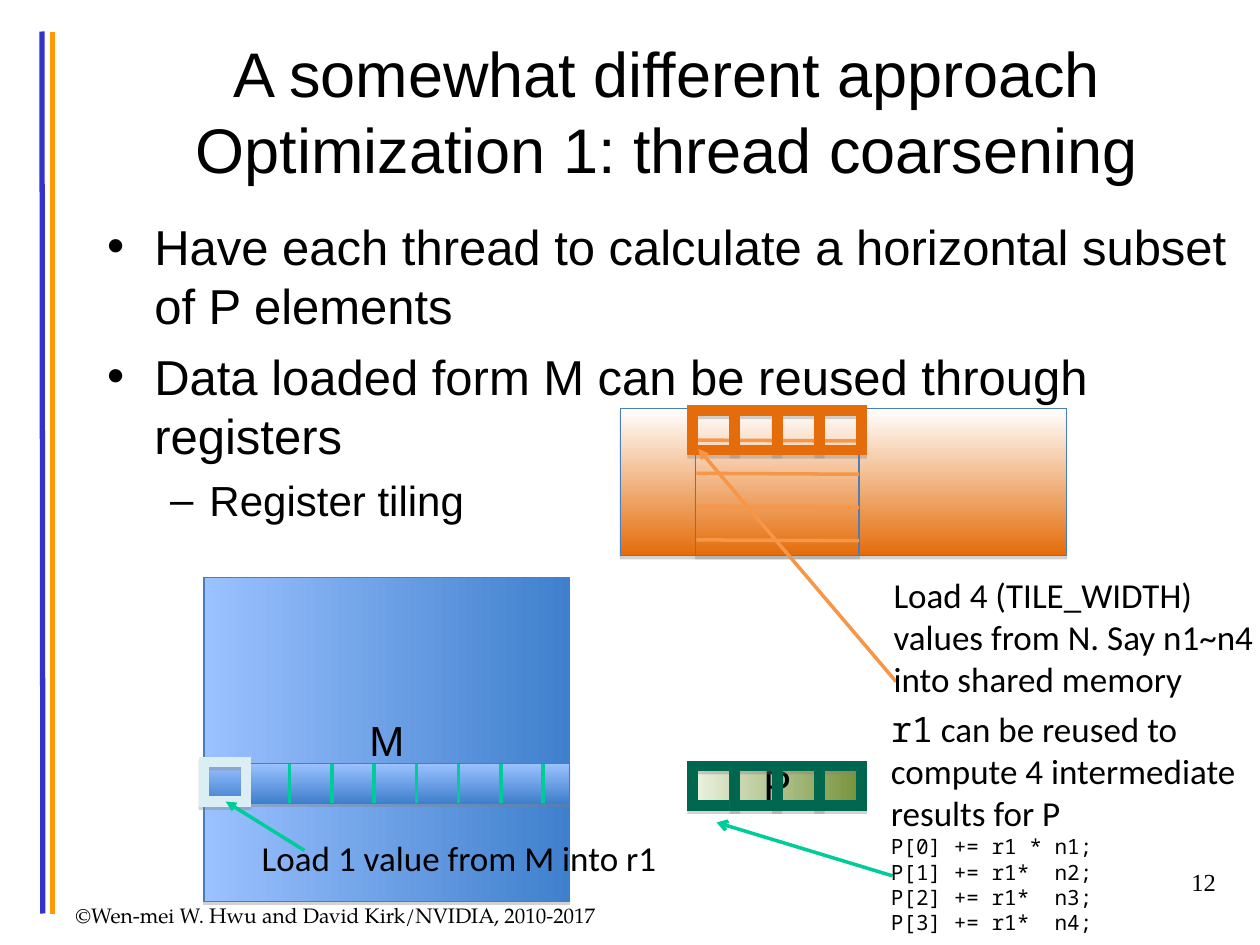
import dataclasses

import lxml.etree
import pptx
import pptx.dml.color
import pptx.enum.shapes
import pptx.enum.text
import pptx.oxml
import pptx.oxml.ns
import pptx.util

Pt = pptx.util.Pt
Color = pptx.dml.color.RGBColor.from_string
qn = pptx.oxml.ns.qn
Align = pptx.enum.text.PP_ALIGN
Anchor = pptx.enum.text.MSO_ANCHOR


@dataclasses.dataclass(frozen=True)
class Theme:
    ink: str = "000000"
    rail_blue: str = "3333CC"
    rail_orange: str = "FF9900"
    outline: str = "4A7EBB"
    blue: tuple = ("9BC1FF", "3F80CD")
    orange: tuple = ("FFFFFF", "E46C0A")
    green: tuple = ("EBF1DE", "77933C")
    n_line: str = "F79646"
    n_frame: str = "E46C0A"
    m_line: str = "00CC99"
    m_frame: str = "DBEEF4"
    p_frame: str = "00664D"
    sans: str = "Arial"
    note_font: str = "Calibri"
    mono: str = "Noto Sans Mono"
    copyright_font: str = "TeX Gyre Pagella"
    number_font: str = "Times New Roman"
    title: int = 36
    body: int = 28
    label: int = 24
    note: int = 20
    number: int = 14
    small: int = 12


theme = Theme()
A_NS = 'xmlns:a="http://schemas.openxmlformats.org/drawingml/2006/main"'
SHADOW = (f'<a:effectLst {A_NS}><a:outerShdw blurRad="0" dist="22860" dir="5400000" '
          'rotWithShape="0"><a:srgbClr val="808080"><a:alpha val="35000"/></a:srgbClr>'
          '</a:outerShdw></a:effectLst>')

deck = pptx.Presentation()
deck.slide_width, deck.slide_height = Pt(720), Pt(540)
page = deck.slides.add_slide(deck.slide_layouts[1])


def add_block(bounds, line_color, line_width=0.75, gradient=None, angle=0):
    """Rectangle with a soft drop shadow; without a gradient it is a hollow frame."""
    block = page.shapes.add_shape(pptx.enum.shapes.MSO_SHAPE.RECTANGLE, *map(Pt, bounds))
    if gradient:
        block.fill.gradient()
        block.fill.gradient_angle = angle
        for stop, color in zip(block.fill.gradient_stops, gradient):
            stop.color.rgb = Color(color)
    else:
        block.fill.background()
    block.line.color.rgb = Color(line_color)
    block.line.width = Pt(line_width)
    outline = block.line._get_or_add_ln()
    lxml.etree.SubElement(outline, qn("a:miter"), lim="800000")
    block._element.spPr.append(pptx.oxml.parse_xml(SHADOW))
    return block


def add_line(start, end, color, width=2, head=None):
    line = page.shapes.add_connector(
        pptx.enum.shapes.MSO_CONNECTOR.STRAIGHT, *map(Pt, (*start, *end)))
    line.line.color.rgb = Color(color)
    line.line.width = Pt(width)
    if head:
        lxml.etree.SubElement(line.line._get_or_add_ln(), qn("a:tailEnd"), type=head)
    lxml.etree.SubElement(line._element.spPr, qn("a:effectLst"))


# Title and list placeholders
title, body = page.shapes.title, page.placeholders[1]
for holder, bounds in ((title, (54, 18, 654, 90)), (body, (54, 120, 654, 292))):
    holder.left, holder.top, holder.width, holder.height = map(Pt, bounds)

bullets = [
    ("Have each thread to calculate a horizontal subset of P elements", 0, 0),
    ("Data loaded form M can be reused through registers", 0, 7),
    ("Register tiling", 1, 6),
]
levels = [("•", 27, -27, theme.body), ("–", 58.5, -22.5, theme.label)]
body.text_frame.auto_size = pptx.enum.text.MSO_AUTO_SIZE.NONE
for index, (words, level, before) in enumerate(bullets):
    para = body.text_frame.paragraphs[0] if index == 0 else body.text_frame.add_paragraph()
    mark, margin, indent, size = levels[level]
    properties = para._p.get_or_add_pPr()
    properties.set("marL", str(Pt(margin)))
    properties.set("indent", str(Pt(indent)))
    mark_color = lxml.etree.SubElement(properties, qn("a:buClr"))
    lxml.etree.SubElement(mark_color, qn("a:srgbClr"), val=theme.ink)
    lxml.etree.SubElement(properties, qn("a:buFont"), typeface=theme.sans)
    lxml.etree.SubElement(properties, qn("a:buChar"), char=mark)
    para.level = level
    para.space_before = Pt(before)
    span = para.add_run()
    span.text = words
    span.font.name, span.font.size = theme.sans, Pt(size)
    span.font.color.rgb = Color(theme.ink)

# Rails at the left edge
add_line((24, 18), (24.5, 522), theme.rail_blue, 3)
add_line((30, 18), (30, 522), theme.rail_orange, 3)

# Matrix M with its row of elements
matrix_m = add_block((116.5, 330, 209, 185), theme.outline, gradient=theme.blue)
add_block((116.5, 436.5, 209, 22.5), theme.outline, gradient=theme.blue, angle=270)
for column in range(7):
    x = 165.5 + 24.15 * column
    add_line((x, 436.5), (x, 459), theme.m_line)
add_block((116.5, 435.5, 24, 22.5), theme.m_frame, 6)

# Matrix N with its column strip
for left, width in ((354.5, 255), (397.5, 93.5)):
    add_block((left, 233.5, width, 84), theme.outline, gradient=theme.orange, angle=270)
for row in range(4):
    y = 251.5 + 19 * row
    add_line((398, y), (491, y + 0.5), theme.n_line)

# Tile of P, then the four framed cells of N and of P
matrix_p = add_block((397.5, 436.5, 93.5, 23), theme.outline, gradient=theme.green)
for top, color in ((234.75, theme.n_frame), (437.75, theme.p_frame)):
    for column in range(4):
        add_block((395.75 + 24.2 * column, top, 24, 22.5), color, 6)

# Arrows from the notes to the cells
add_line((174, 486), (129, 458), theme.m_line, head="triangle")
add_line((512, 389.5), (399, 256.5), theme.n_line, head="triangle")
add_line((510, 500.5), (409.5, 470), theme.m_line, head="arrow")

# Text: where, alignment, anchor, spans of (words, font, size)
code = "P[0] += r1 * n1;\nP[1] += r1*  n2;\nP[2] += r1*  n3;\nP[3] += r1*  n4;"
texts = [
    (title, Align.CENTER, Anchor.MIDDLE,
     [("A somewhat different approach\nOptimization 1: thread coarsening",
       theme.sans, theme.title)]),
    (matrix_m, Align.CENTER, Anchor.MIDDLE, [("M", theme.sans, theme.label)]),
    (matrix_p, Align.CENTER, Anchor.MIDDLE, [("P", theme.sans, theme.label)]),
    ((142.5, 474.5, 299.5, 31.5), Align.LEFT, Anchor.TOP,
     [("Load 1 value from M into r1", theme.note_font, theme.note)]),
    ((503.5, 324, 240, 79), Align.LEFT, Anchor.TOP,
     [("Load 4 (TILE_WIDTH) values from N. Say n1~n4 into shared memory",
       theme.note_font, theme.note)]),
    ((502, 401, 212.5, 137), Align.LEFT, Anchor.TOP,
     [("r1", theme.mono, theme.note),
      (" can be reused to compute 4 intermediate results for P\n",
       theme.note_font, theme.note),
      (code, theme.mono, theme.small)]),
    ((36, 512, 399.5, 22.5), Align.LEFT, Anchor.TOP,
     [("©Wen-mei W. Hwu and David Kirk/NVIDIA, 2010-2017",
       theme.copyright_font, theme.small)]),
    ((552, 492, 150, 36), Align.RIGHT, Anchor.TOP,
     [("12", theme.number_font, theme.number)]),
]
for place, align, anchor, spans in texts:
    box = page.shapes.add_textbox(*map(Pt, place)) if isinstance(place, tuple) else place
    frame = box.text_frame
    frame.auto_size = pptx.enum.text.MSO_AUTO_SIZE.NONE
    frame.word_wrap = True
    frame.vertical_anchor = anchor
    para = frame.paragraphs[0]
    para.alignment = align
    for words, font, size in spans:
        for index, part in enumerate(words.split("\n")):
            if index:
                para.add_line_break()
            if part:
                span = para.add_run()
                span.text = part
                span.font.name, span.font.size = font, Pt(size)
                span.font.color.rgb = Color(theme.ink)

deck.save("out.pptx")
